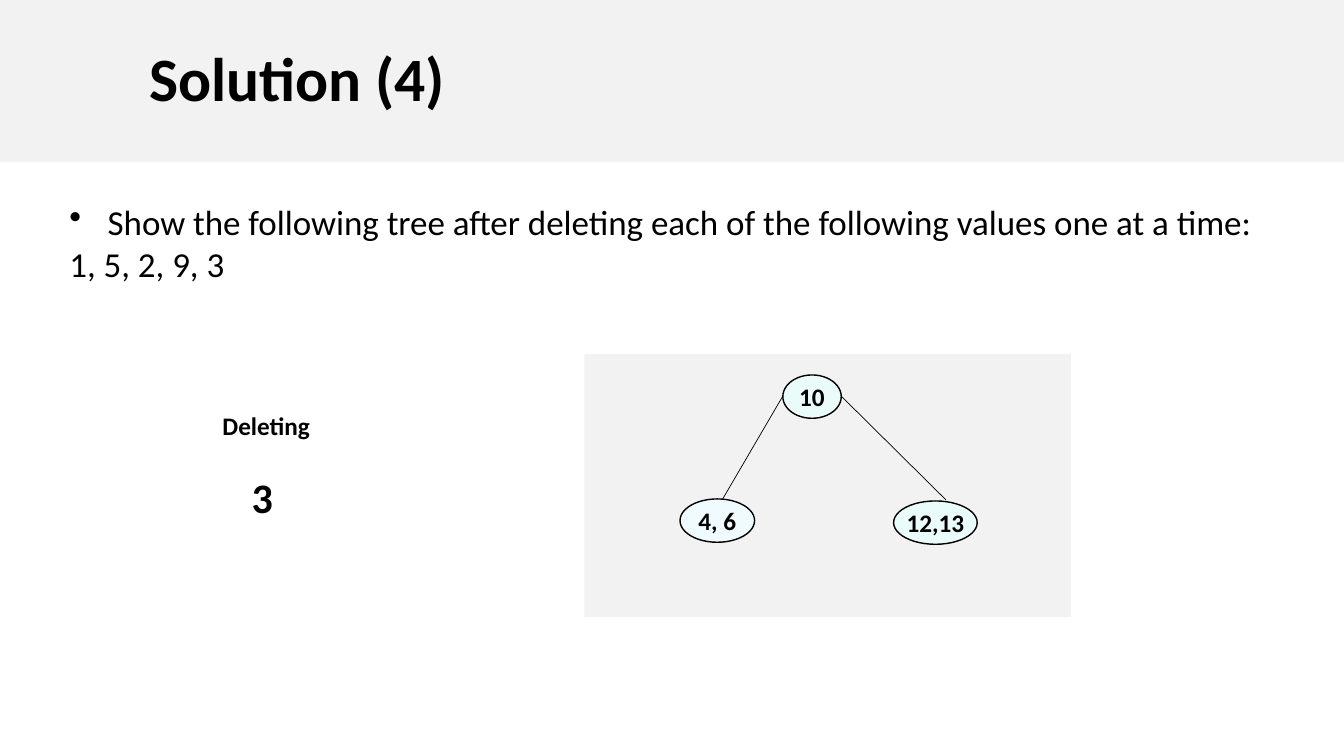
from dataclasses import dataclass

from lxml import etree
from pptx import Presentation
from pptx.dml.color import RGBColor
from pptx.enum.shapes import MSO_CONNECTOR, MSO_SHAPE
from pptx.enum.text import MSO_ANCHOR, PP_ALIGN
from pptx.oxml.ns import qn
from pptx.util import Emu, Pt

RECTANGLE, ELLIPSE = MSO_SHAPE.RECTANGLE, MSO_SHAPE.OVAL
STRAIGHT = MSO_CONNECTOR.STRAIGHT
LEFT, CENTER = PP_ALIGN.LEFT, PP_ALIGN.CENTER
TOP, MIDDLE = MSO_ANCHOR.TOP, MSO_ANCHOR.MIDDLE
PX = 9144  # 100 px to the inch


@dataclass(frozen=True)
class Theme:
    font: str = "Calibri"
    ink: str = "000000"
    panel: str = "F2F2F2"
    mint: str = "EAFCFA"
    ice: str = "EFFBFF"
    title: int = 44
    value: int = 30
    body: int = 25
    label: int = 18


def px(length):
    return Emu(length * PX)


def write(frame, text, *, theme, size, bold=False, align=LEFT, first=True,
          margin=0, indent=0, bullet=None, before=0, spacing=None):
    """Write one paragraph into a text frame."""
    para = frame.paragraphs[0] if first else frame.add_paragraph()
    properties = para._p.get_or_add_pPr()
    properties.set("marL", str(px(margin)))
    properties.set("indent", str(px(indent)))
    if bullet:
        etree.SubElement(properties, qn("a:buChar")).set("char", bullet)
    para.alignment = align
    para.space_before = Pt(before)
    if spacing:
        para.line_spacing = spacing
    span = para.add_run()
    span.text = text
    span.font.name = theme.font
    span.font.size = Pt(size)
    span.font.bold = bold
    span.font.color.rgb = RGBColor.from_string(theme.ink)


class Page:
    def __init__(self, deck, theme):
        self.theme = theme
        self.shapes = deck.slides.add_slide(deck.slide_layouts[6]).shapes

    def frame(self, shape, insets, anchor=TOP, wrap=True):
        frame = shape.text_frame
        frame.word_wrap = wrap
        frame.vertical_anchor = anchor
        (frame.margin_left, frame.margin_top,
         frame.margin_right, frame.margin_bottom) = map(px, insets)
        return frame

    def shape(self, kind, box, fill, line=None):
        shape = self.shapes.add_shape(kind, *map(px, box))
        shape.shadow.inherit = False
        shape.fill.solid()
        shape.fill.fore_color.rgb = RGBColor.from_string(fill)
        if line:
            shape.line.color.rgb = RGBColor.from_string(self.theme.ink)
            shape.line.width = Pt(line)
        else:
            shape.line.fill.background()
        return shape

    def banner(self, text, box, inset):
        shape = self.shape(RECTANGLE, box, self.theme.panel)
        frame = self.frame(shape, (inset, 5, 10, 5), MIDDLE)
        write(frame, text, theme=self.theme, size=self.theme.title, bold=True,
              spacing=0.9)

    def text(self, box, wrap=True):
        shape = self.shapes.add_textbox(*map(px, box))
        return self.frame(shape, (10, 5, 10, 5), wrap=wrap)

    def node(self, text, box, fill):
        shape = self.shape(ELLIPSE, box, fill, line=1)
        frame = self.frame(shape, (0, 0, 0, 0), MIDDLE, wrap=False)
        write(frame, text, theme=self.theme, size=self.theme.label, bold=True,
              align=CENTER)

    def edge(self, start, end):
        line = self.shapes.add_connector(STRAIGHT, *map(px, start + end))
        line.line.color.rgb = RGBColor.from_string(self.theme.ink)
        line.line.width = Pt(0.5)
        etree.SubElement(line._element.spPr, qn("a:effectLst"))


def main():
    deck = Presentation()
    deck.slide_width, deck.slide_height = px(1334), px(750)
    theme = Theme()
    page = Page(deck, theme)

    # Title band
    page.banner("Solution (4)", (0, 0, 1334, 161), inset=148)

    # Task
    task = page.text((59, 194, 1223, 94))
    write(task, "Show the following tree after deleting each of the following "
          "values one at a time:", theme=theme, size=theme.body,
          margin=38, indent=-38, bullet="•")
    write(task, "1, 5, 2, 9, 3", theme=theme, size=theme.body,
          margin=38, indent=-38, first=False)

    # Deleted value
    step = page.text((211, 402, 107, 120), wrap=False)
    write(step, "Deleting", theme=theme, size=theme.label, bold=True)
    write(step, "3", theme=theme, size=theme.value, bold=True,
          margin=29, before=22, first=False)

    # Tree panel, edges and nodes
    page.shape(RECTANGLE, (580, 351, 483, 261), theme.panel)
    for end in ((715, 499), (939, 496)):
        start = (777 if end[0] < 777 else 835, 393)
        page.edge(start, end)
    for text, box, fill in (
        ("10", (777, 372, 58, 43), theme.mint),
        ("4, 6", (675, 495, 74, 43), theme.ice),
        ("12,13", (887, 497, 83, 43), theme.mint),
    ):
        page.node(text, box, fill)

    deck.save("out.pptx")


if __name__ == "__main__":
    main()
